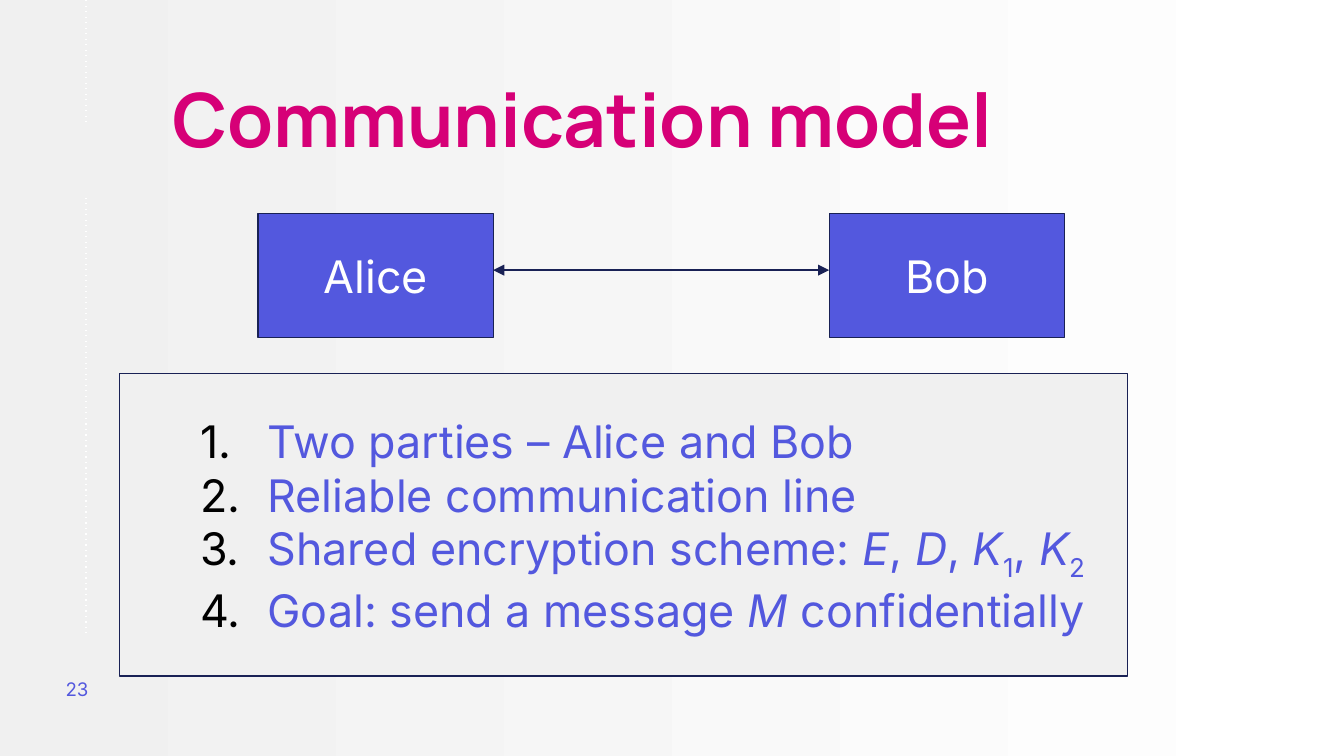
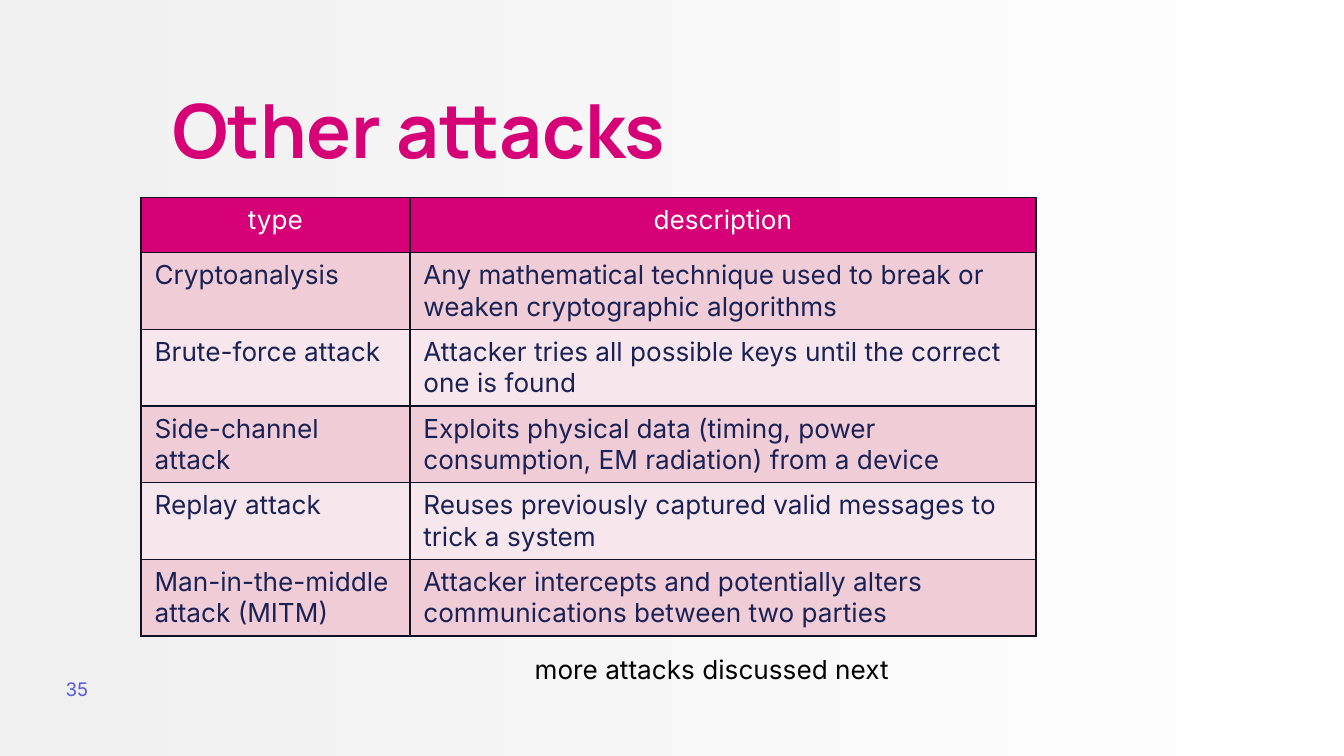
"""Build two slides on encryption: the communication model and other attacks."""
from lxml.etree import SubElement
from pptx import Presentation
from pptx.dml.color import RGBColor
from pptx.enum.shapes import MSO_CONNECTOR, MSO_SHAPE
from pptx.enum.text import MSO_ANCHOR, MSO_AUTO_SIZE, PP_ALIGN
from pptx.oxml.ns import qn
from pptx.util import Inches, Pt

PINK, BLUE, NAVY = "D60077", "5358DE", "192155"
WHITE, GREY, BLACK, BORDER = "FFFFFF", "F0F0F0", "000000", "101023"
ROW_FILLS = ["F0CCD6", "F7E7EC"]
BODY_FONT, TITLE_FONT = "Inter", "Manrope"


def color(hex_code):
    """Return the colour for a hex string."""
    return RGBColor.from_string(hex_code)


def write(para, text, size, hex_code, font=BODY_FONT, bold=False):
    """Add one formatted run to a paragraph and return it."""
    span = para.add_run()
    span.text = text
    span.font.size = Pt(size)
    span.font.name = font
    span.font.bold = bold
    span.font.color.rgb = color(hex_code)
    return span


deck = Presentation()
deck.slide_width = Inches(10)
deck.slide_height = deck.slide_width * 9 // 16

pages = []
for layout, heading, number, top, height in [
    (1, "Communication model", "23", 0.57, 0.74),
    (5, "Other attacks", "35", 0.65, 0.82),
]:
    page = deck.slides.add_slide(deck.slide_layouts[layout])
    pages.append(page)
    backdrop = page.background.fill
    backdrop.gradient()
    backdrop.gradient_angle = 180
    for stop, shade in zip(backdrop.gradient_stops, [WHITE, GREY]):
        stop.color.rgb = color(shade)

    title = page.shapes.title
    title.left, title.top = Inches(1.18), Inches(top)
    title.width, title.height = Inches(6.53), Inches(height)
    title.text_frame.vertical_anchor = MSO_ANCHOR.TOP
    number_box = page.shapes.add_textbox(Inches(0.39), Inches(4.91), Inches(0.6), Inches(0.43))
    number_box.text_frame.vertical_anchor = MSO_ANCHOR.MIDDLE
    for frame in (title.text_frame, number_box.text_frame):
        frame.word_wrap = True
        frame.auto_size = MSO_AUTO_SIZE.NONE
        frame.margin_left = frame.margin_right = Inches(0.1)
        frame.margin_top = frame.margin_bottom = Inches(0.1)
    para = title.text_frame.paragraphs[0]
    para.alignment = PP_ALIGN.LEFT
    para.line_spacing = 0.8
    write(para, heading, 40, PINK, TITLE_FONT, True)
    write(number_box.text_frame.paragraphs[0], number, 10, BLUE)

model_page, attacks_page = pages

for party, left in [("Alice", 1.92), ("Bob", 6.17)]:
    box = model_page.shapes.add_shape(
        MSO_SHAPE.RECTANGLE, Inches(left), Inches(1.59), Inches(1.75), Inches(0.92))
    box.shadow.inherit = False
    box.fill.solid()
    box.fill.fore_color.rgb = color(BLUE)
    box.line.color.rgb = color(NAVY)
    box.line.width = Pt(0.75)
    box.text_frame.word_wrap = False
    box.text_frame.vertical_anchor = MSO_ANCHOR.MIDDLE
    para = box.text_frame.paragraphs[0]
    para.alignment = PP_ALIGN.CENTER
    write(para, party, 24, WHITE)

for x1, y1, x2, y2, shade, is_channel in [
    (0.64, 0, 0.64, 0.92, WHITE, False),
    (0.64, 1.47, 0.64, 4.71, WHITE, False),
    (3.67, 2.01, 6.17, 2.01, NAVY, True),
]:
    connector = model_page.shapes.add_connector(
        MSO_CONNECTOR.STRAIGHT, Inches(x1), Inches(y1), Inches(x2), Inches(y2))
    connector.line.color.rgb = color(shade)
    connector.line.width = Pt(0.75)
    outline = connector.line._get_or_add_ln()
    if is_channel:
        for end in ("a:headEnd", "a:tailEnd"):
            SubElement(outline, qn(end), type="triangle")
    else:
        SubElement(outline, qn("a:prstDash"), val="dot")
    SubElement(connector._element.spPr, qn("a:effectLst"))

assumptions = [
    [("Two parties – Alice and Bob", "")],
    [("Reliable communication line", "")],
    [("Shared encryption scheme: ", ""), ("E", "italic"), (", ", ""), ("D", "italic"),
     (", ", ""), ("K", "italic"), ("1", "sub"), (", ", ""), ("K", "italic"), ("2", "sub")],
    [("Goal: send a message ", ""), ("M", "italic"), (" confidentially", "")],
]
body = model_page.placeholders[1]
body.left, body.top = Inches(0.89), Inches(2.78)
body.width, body.height = Inches(7.5), Inches(2.25)
body.fill.solid()
body.fill.fore_color.rgb = color(GREY)
body.line.color.rgb = color(NAVY)
body.line.width = Pt(0.75)
frame = body.text_frame
frame.word_wrap = True
frame.auto_size = MSO_AUTO_SIZE.NONE
frame.vertical_anchor = MSO_ANCHOR.MIDDLE
for index, pieces in enumerate(assumptions):
    para = frame.add_paragraph() if index else frame.paragraphs[0]
    props = para._p.get_or_add_pPr()
    props.set("marL", str(Inches(1)))
    props.set("indent", str(Inches(-0.5)))
    SubElement(SubElement(props, qn("a:buClr")), qn("a:srgbClr"), val=BLACK)
    SubElement(props, qn("a:buFont"), typeface=BODY_FONT)
    SubElement(props, qn("a:buAutoNum"), type="arabicPeriod")
    para.space_before = Pt(0)
    for text, style in pieces:
        span = write(para, text, 24, BLUE)
        span.font.italic = style == "italic"
        if style == "sub":
            span._r.get_or_add_rPr().set("baseline", "-25000")

attacks = [
    ("type", "description"),
    ("Cryptoanalysis",
     "Any mathematical technique used to break or weaken cryptographic algorithms"),
    ("Brute-force attack", "Attacker tries all possible keys until the correct one is found"),
    ("Side-channel attack",
     "Exploits physical data (timing, power consumption, EM radiation) from a device"),
    ("Replay attack", "Reuses previously captured valid messages to trick a system"),
    ("Man-in-the-middle attack (MITM)",
     "Attacker intercepts and potentially alters communications between two parties"),
]
table = attacks_page.shapes.add_table(
    len(attacks), 2, Inches(1.05), Inches(1.47), Inches(6.66), Inches(3.24)).table
table.horz_banding = False
for column, width in zip(table.columns, [2, 4.66]):
    column.width = Inches(width)
for row, texts in enumerate(attacks):
    table.rows[row].height = Inches(0.57 if row else 0.41)
    for col, text in enumerate(texts):
        cell = table.cell(row, col)
        props = cell._tc.get_or_add_tcPr()
        for side in ("a:lnL", "a:lnR", "a:lnT", "a:lnB"):
            edge = SubElement(props, qn(side), w=str(Pt(1)))
            SubElement(SubElement(edge, qn("a:solidFill")), qn("a:srgbClr"), val=BORDER)
        cell.fill.solid()
        cell.fill.fore_color.rgb = color(ROW_FILLS[(row - 1) % 2] if row else PINK)
        para = cell.text_frame.paragraphs[0]
        para.alignment = PP_ALIGN.LEFT if row else PP_ALIGN.CENTER
        write(para, text, 14, NAVY if row else WHITE)

caption = attacks_page.shapes.add_textbox(Inches(3.88), Inches(4.81), Inches(2.86), Inches(0.34))
caption.text_frame.word_wrap = False
caption.text_frame.auto_size = MSO_AUTO_SIZE.SHAPE_TO_FIT_TEXT
write(caption.text_frame.paragraphs[0], "more attacks discussed next", 14, BLACK)

deck.save("out.pptx")
